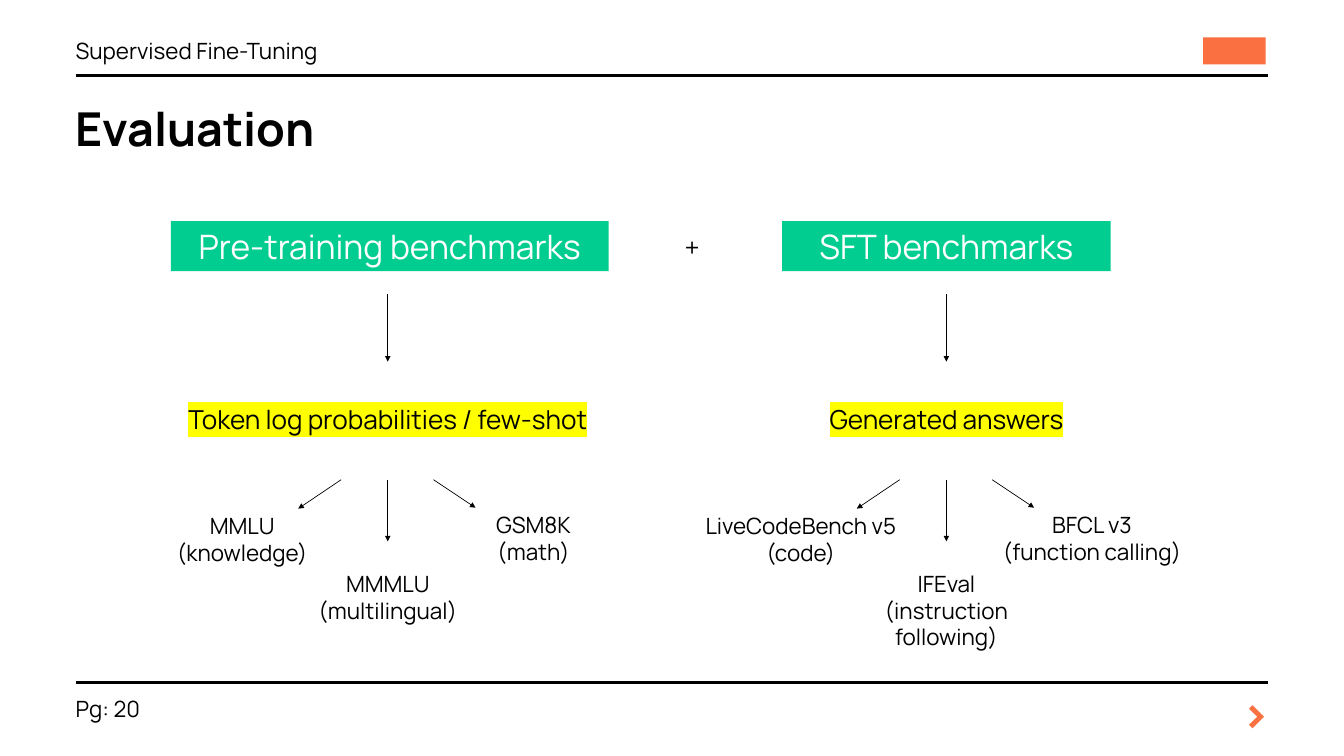
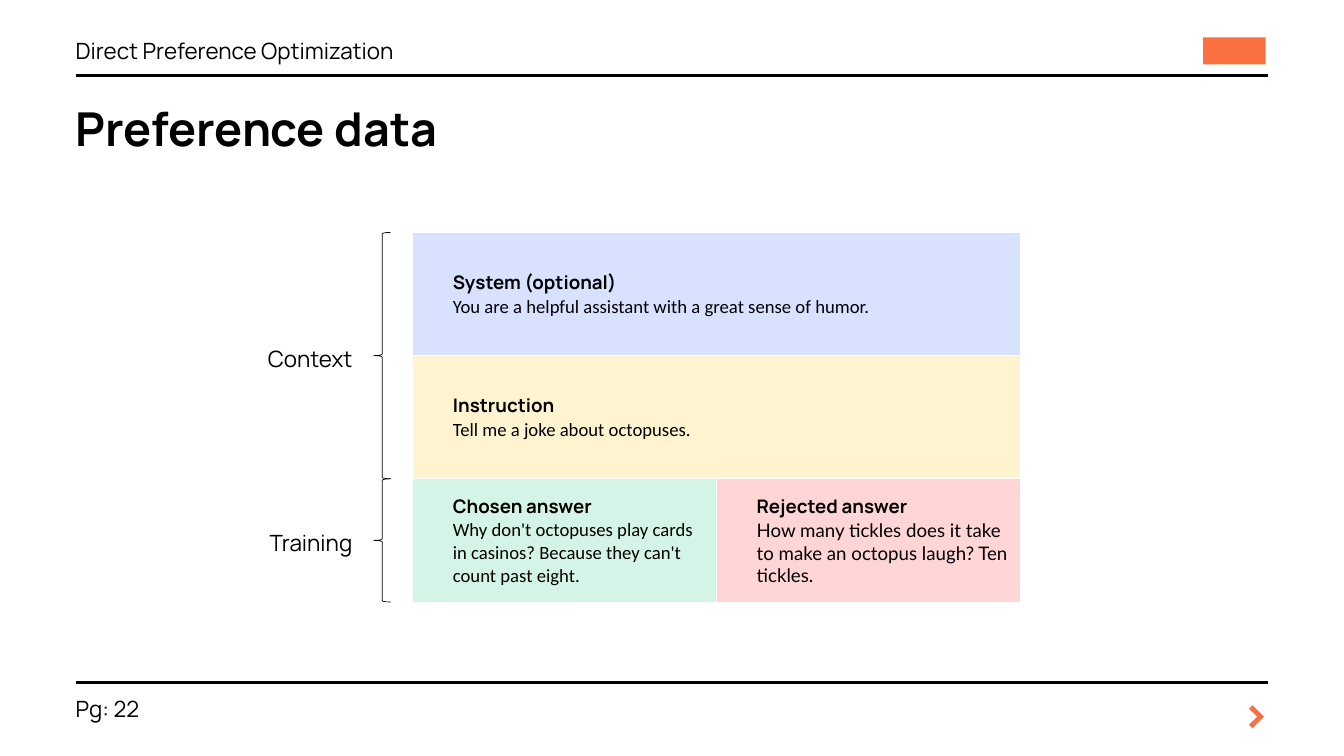
from lxml import etree
from pptx import Presentation
from pptx.dml.color import RGBColor
from pptx.enum.shapes import MSO_CONNECTOR, MSO_SHAPE
from pptx.enum.text import MSO_ANCHOR, MSO_AUTO_SIZE, PP_ALIGN
from pptx.oxml.ns import qn
from pptx.util import Pt

STRAIGHT = MSO_CONNECTOR.STRAIGHT
RECTANGLE, LEFT_BRACE = MSO_SHAPE.RECTANGLE, MSO_SHAPE.LEFT_BRACE
MIDDLE = MSO_ANCHOR.MIDDLE
FIT_TEXT = MSO_AUTO_SIZE.SHAPE_TO_FIT_TEXT
LEFT, CENTER, RIGHT = PP_ALIGN.LEFT, PP_ALIGN.CENTER, PP_ALIGN.RIGHT

FONT = "Manrope"
BLACK, WHITE = "000000", "FFFFFF"
ORANGE, CHEVRON_ORANGE = "FA7040", "F97141"
GREEN, YELLOW = "00CD8F", "FFFF00"

MARGIN, RULE_RIGHT = 81, 1359
HEADER_RULE, FOOTER_RULE = 81, 731

BENCHMARKS = [
    {"center": 415.5, "banner": ("Pre-training benchmarks", 183, 469),
     "method": "Token log probabilities / few-shot",
     "tests": ["MMLU\v(knowledge)", "MMMLU\v(multilingual)", "GSM8K\v(math)"],
     "middle_width": 190},
    {"center": 1014, "banner": ("SFT benchmarks", 838, 352),
     "method": "Generated answers",
     "tests": ["LiveCodeBench v5\v(code)", "IFEval\v(instruction following)",
               "BFCL v3\v(function calling)"],
     "middle_width": 230},
]
BRANCHES = [
    {"start": -50, "end": -96, "bottom": 545, "text": -156, "top": 548.5},
    {"start": 0, "end": 0, "bottom": 580, "text": 0, "top": 610.5},
    {"start": 49, "end": 94, "bottom": 544, "text": 156, "top": 548},
]

TABLE_LEFT, TABLE_TOP, COLUMN_WIDTH, ROW_HEIGHT = 442, 249, 325.5, 132
CELLS = [
    (0, 0, "D8E2FF", "Calibri",
     "System (optional)\vYou are a helpful assistant with a great sense of humor."),
    (1, 0, "FFF4CF", "Calibri", "Instruction\vTell me a joke about octopuses."),
    (2, 0, "D4F4E7", "Calibri",
     "Chosen answer\vWhy don't octopuses play cards in casinos? "
     "Because they can't count past eight."),
    (2, 1, "FFD5D5", "Lato",
     "Rejected answer\nHow many tickles does it take to make an octopus laugh? "
     "Ten tickles."),
]
BRACES = [("Context", 0, 2), ("Training", 2, 1)]


def color(value):
    return RGBColor.from_string(value)


def style_run(run, size, value=BLACK, bold=False, font=FONT):
    run.font.size = Pt(size)
    run.font.name = font
    run.font.bold = bold
    run.font.color.rgb = color(value)


def add_text(slide, text, left, top, width, height, size=24, align=LEFT,
             spacing=None, value=BLACK, bold=False, highlight=None):
    box = slide.shapes.add_textbox(Pt(left), Pt(top), Pt(width), Pt(height))
    frame = box.text_frame
    frame.word_wrap = True
    frame.auto_size = FIT_TEXT
    frame.margin_left = frame.margin_right = 0
    frame.margin_top = frame.margin_bottom = 0
    frame.text = text
    paragraph = frame.paragraphs[0]
    paragraph.alignment = align
    if spacing:
        paragraph.line_spacing = Pt(spacing)
    for run in paragraph.runs:
        style_run(run, size, value, bold)
        if highlight:
            mark = etree.Element(qn("a:highlight"))
            etree.SubElement(mark, qn("a:srgbClr"), val=highlight)
            run.font._element.find(qn("a:latin")).addprevious(mark)


def add_line(slide, start, end, width=0.75, arrow=False):
    line = slide.shapes.add_connector(STRAIGHT, Pt(start[0]), Pt(start[1]),
                                      Pt(end[0]), Pt(end[1]))
    line.line.width = Pt(width)
    line.line.color.rgb = color(BLACK)
    properties = line._element.spPr
    if arrow:
        etree.SubElement(properties.find(qn("a:ln")), qn("a:tailEnd"), type="triangle")
    etree.SubElement(properties, qn("a:effectLst"))


def add_plain_shape(slide, kind, left, top, width, height, fill=None):
    shape = slide.shapes.add_shape(kind, Pt(left), Pt(top), Pt(width), Pt(height))
    shape.shadow.inherit = False
    if fill:
        shape.fill.solid()
        shape.fill.fore_color.rgb = color(fill)
        shape.line.fill.background()
    else:
        shape.fill.background()
        shape.line.width = Pt(0.75)
        shape.line.color.rgb = color(BLACK)
    return shape


def add_base_slide(presentation, section, title, page):
    slide = presentation.slides.add_slide(presentation.slide_layouts[6])
    for rule in (HEADER_RULE, FOOTER_RULE):
        add_line(slide, (MARGIN, rule), (RULE_RIGHT, rule), 3)
    add_plain_shape(slide, RECTANGLE, 1289, 40, 67, 29, ORANGE)
    add_text(slide, ">", 1329, 722, 30, 70.5, 52, CENTER, 72.8, CHEVRON_ORANGE, True)
    add_text(slide, f"Pg: {page}", MARGIN, 740, 150, 32, spacing=33.6)
    add_text(slide, section, MARGIN, 34.5, 525, 32, spacing=33.6)
    add_text(slide, title, MARGIN, 97, 933, 65.5, 50, spacing=70, bold=True)
    return slide


def add_benchmark(slide, benchmark):
    center = benchmark["center"]
    name, left, width = benchmark["banner"]
    banner = add_plain_shape(slide, RECTANGLE, left, 237, width, 53.5, GREEN)
    frame = banner.text_frame
    frame.text = name
    frame.vertical_anchor = MIDDLE
    frame.paragraphs[0].alignment = CENTER
    style_run(frame.paragraphs[0].runs[0], 36, WHITE)

    add_line(slide, (center, 315.5), (center, 387.5), arrow=True)
    add_text(slide, benchmark["method"], center - 271.5, 432, 543, 32.5, 28,
             CENTER, 33.6, highlight=YELLOW)
    widths = [253.5, benchmark["middle_width"], 253.5]
    for branch, test, width in zip(BRANCHES, benchmark["tests"], widths):
        add_line(slide, (center + branch["start"], 514),
                 (center + branch["end"], branch["bottom"]), arrow=True)
        add_text(slide, test, center + branch["text"] - width / 2, branch["top"],
                 width, 58.5, align=CENTER)


def add_cell_borders(cell):
    properties = cell._tc.get_or_add_tcPr()
    for side in ("lnL", "lnR", "lnT", "lnB"):
        border = etree.SubElement(properties, qn(f"a:{side}"), w=str(Pt(1)))
        fill = etree.SubElement(border, qn("a:solidFill"))
        etree.SubElement(fill, qn("a:srgbClr"), val=WHITE)


def add_preference_table(slide):
    table = slide.shapes.add_table(3, 2, Pt(TABLE_LEFT), Pt(TABLE_TOP),
                                   Pt(2 * COLUMN_WIDTH), Pt(3 * ROW_HEIGHT)).table
    table.first_row = table.horz_banding = False
    for column in table.columns:
        column.width = Pt(COLUMN_WIDTH)
    for row in table.rows:
        row.height = Pt(ROW_HEIGHT)
    for row in (0, 1):
        table.cell(row, 0).merge(table.cell(row, 1))
    for cell in table.iter_cells():
        add_cell_borders(cell)
    for row, column, fill, body_font, text in CELLS:
        cell = table.cell(row, column)
        cell.fill.solid()
        cell.fill.fore_color.rgb = color(fill)
        cell.vertical_anchor = MIDDLE
        cell.text_frame.text = text
        paragraphs = cell.text_frame.paragraphs
        for paragraph in paragraphs:
            paragraph.level = 1
            properties = paragraph._p.get_or_add_pPr()
            properties.set("marL", str(Pt(36)))
            properties.set("indent", "0")
        heading, body = [run for paragraph in paragraphs for run in paragraph.runs]
        style_run(heading, 20, bold=True)
        style_run(body, 20, font=body_font)


def main():
    presentation = Presentation()
    presentation.slide_width, presentation.slide_height = Pt(1440), Pt(810)

    evaluation = add_base_slide(presentation, "Supervised Fine-Tuning", "Evaluation", 20)
    add_text(evaluation, "+", 708.5, 247.5, 66, 32.5, 28, CENTER, 33.6)
    for benchmark in BENCHMARKS:
        add_benchmark(evaluation, benchmark)

    preference = add_base_slide(presentation, "Direct Preference Optimization",
                                "Preference data", 22)
    add_preference_table(preference)
    for label, first_row, rows in BRACES:
        top, height = TABLE_TOP + first_row * ROW_HEIGHT, rows * ROW_HEIGHT
        add_plain_shape(preference, LEFT_BRACE, 400.5, top, 18, height)
        add_text(preference, label, 232.5, top + height / 2 - 16.5, 145, 32,
                 align=RIGHT, spacing=33.6)

    presentation.save("out.pptx")


if __name__ == "__main__":
    main()
